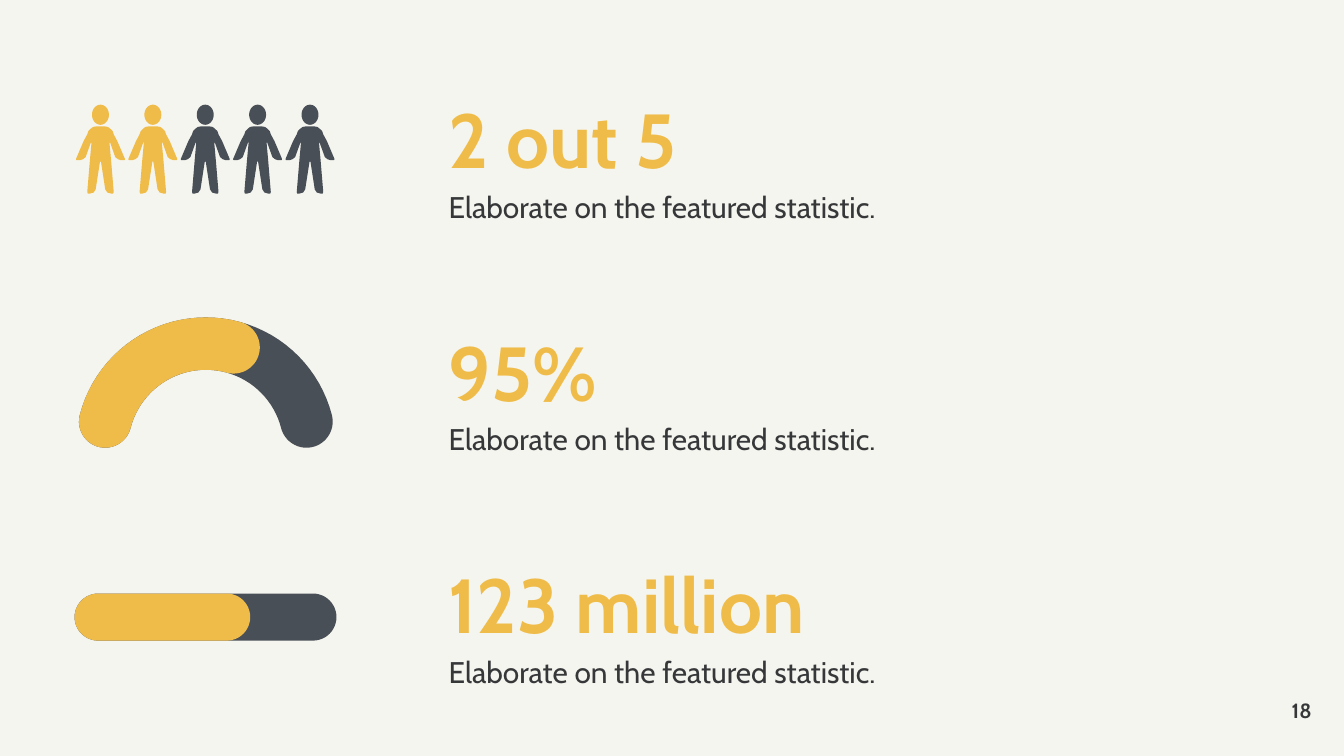
from math import cos, radians, sin

from pptx import Presentation
from pptx.dml.color import RGBColor
from pptx.enum.shapes import MSO_SHAPE
from pptx.enum.text import MSO_ANCHOR, MSO_AUTO_SIZE, PP_ALIGN
from pptx.util import Cm, Pt

YELLOW = "EFBC49"
SLATE = "494F56"
INK = "363739"
HEADLINE = {"size": Pt(41), "bold": True}
DETAIL = {"size": Pt(16), "bold": False}
PAGE_NUMBER = {"size": Pt(11), "bold": True}


def paint(target, color):
    target.fill.solid()
    target.fill.fore_color.rgb = RGBColor.from_string(color)


def add_text(box, text, color, font_format, paragraph_format, frame_format):
    frame = slide.shapes.add_textbox(*map(Cm, box)).text_frame
    margins = dict.fromkeys(["margin_left", "margin_top", "margin_right", "margin_bottom"], 0)
    paragraph = frame.paragraphs[0]
    run = paragraph.add_run()
    run.text = text
    run.font.color.rgb = RGBColor.from_string(color)
    for target, values in (
        (frame, {"word_wrap": True, **margins, **frame_format}),
        (paragraph, paragraph_format),
        (run.font, {"name": "Cabin", **font_format}),
    ):
        for name, value in values.items():
            setattr(target, name, value)


presentation = Presentation()
presentation.slide_width = Cm(25.4)
presentation.slide_height = Cm(14.29)
slide = presentation.slides.add_slide(presentation.slide_layouts[6])
paint(slide.background, "F5F5EF")

grow = {"auto_size": MSO_AUTO_SIZE.SHAPE_TO_FIT_TEXT}
for row, statistic in enumerate(["2 out 5", "95%", "123 million"]):
    top = 1.4 + row * 4.39
    add_text((8.48, top, 12.62, 1.75), statistic, YELLOW, HEADLINE, {"line_spacing": 1.2}, grow)
    add_text((8.48, top + 1.9, 12.62, 0.69), "Elaborate on the featured statistic.",
             INK, DETAIL, {"line_spacing": 1.4}, grow)

outlines = []

center_x, center_y, outer, inner = 3.89, 8.46, 2.46, 1.47
middle, cap = (outer + inner) / 2, (outer - inner) / 2
for color, end in ((SLATE, 14.5), (YELLOW, 74.5)):
    start = 165.5
    cap_centers = [
        (center_x + middle * cos(radians(angle)), center_y - middle * sin(radians(angle)))
        for angle in (end, start)
    ]
    arcs = [
        (center_x, center_y, outer, start, end),
        (*cap_centers[0], cap, end, end - 180),
        (center_x, center_y, inner, end, start),
        (*cap_centers[1], cap, start + 180, start),
    ]
    band = [
        (x + radius * cos(radians(first + (last - first) * step / 40)),
         y - radius * sin(radians(first + (last - first) * step / 40)))
        for x, y, radius, first, last in arcs
        for step in range(41)
    ]
    outlines.append((color, [band]))

half_body = [
    (0.08, 2.39), (0.14, 2.4), (0.18, 2.43), (0.23, 2.48), (0.25, 2.54), (0.32, 2.67),
    (0.46, 3), (0.46, 3.02), (0.45, 3.03), (0.39, 3.03), (0.33, 3.01), (0.28, 2.97),
    (0.18, 2.69), (0.17, 2.7), (0.2, 3.03), (0.25, 3.63), (0.24, 3.66), (0.2, 3.66),
    (0.13, 3.64), (0.09, 3.58), (0.01, 3.06), (0, 3.05),
]
body = half_body + [(-x, y) for x, y in reversed(half_body)]
head = [
    (0.16 * cos(radians(angle)), 2.17 + 0.19 * sin(radians(angle)))
    for angle in range(0, 360, 10)
]
for color, people in ((YELLOW, range(2)), (SLATE, range(2, 5))):
    contours = [
        [(1.9 + person * 0.99 + x, y) for x, y in part]
        for person in people
        for part in (head, body)
    ]
    outlines.append((color, contours))

for color, contours in outlines:
    points = [[(Cm(x), Cm(y)) for x, y in contour] for contour in contours]
    builder = slide.shapes.build_freeform(*points[0][0])
    for contour in points:
        builder.move_to(*contour[0])
        builder.add_line_segments(contour[1:], close=True)
    shape = builder.convert_to_shape()
    paint(shape, color)
    shape.line.fill.background()
    shape.shadow.inherit = False

for color, width in ((SLATE, 4.95), (YELLOW, 3.32)):
    bar = slide.shapes.add_shape(
        MSO_SHAPE.ROUNDED_RECTANGLE, Cm(1.41), Cm(11.22), Cm(width), Cm(0.89))
    bar.adjustments[0] = 0.5
    paint(bar, color)
    bar.line.fill.background()
    bar.shadow.inherit = False

add_text((23.27, 13.18, 1.52, 0.51), "18", INK, PAGE_NUMBER,
         {"alignment": PP_ALIGN.RIGHT}, {"vertical_anchor": MSO_ANCHOR.MIDDLE})

presentation.save("out.pptx")
